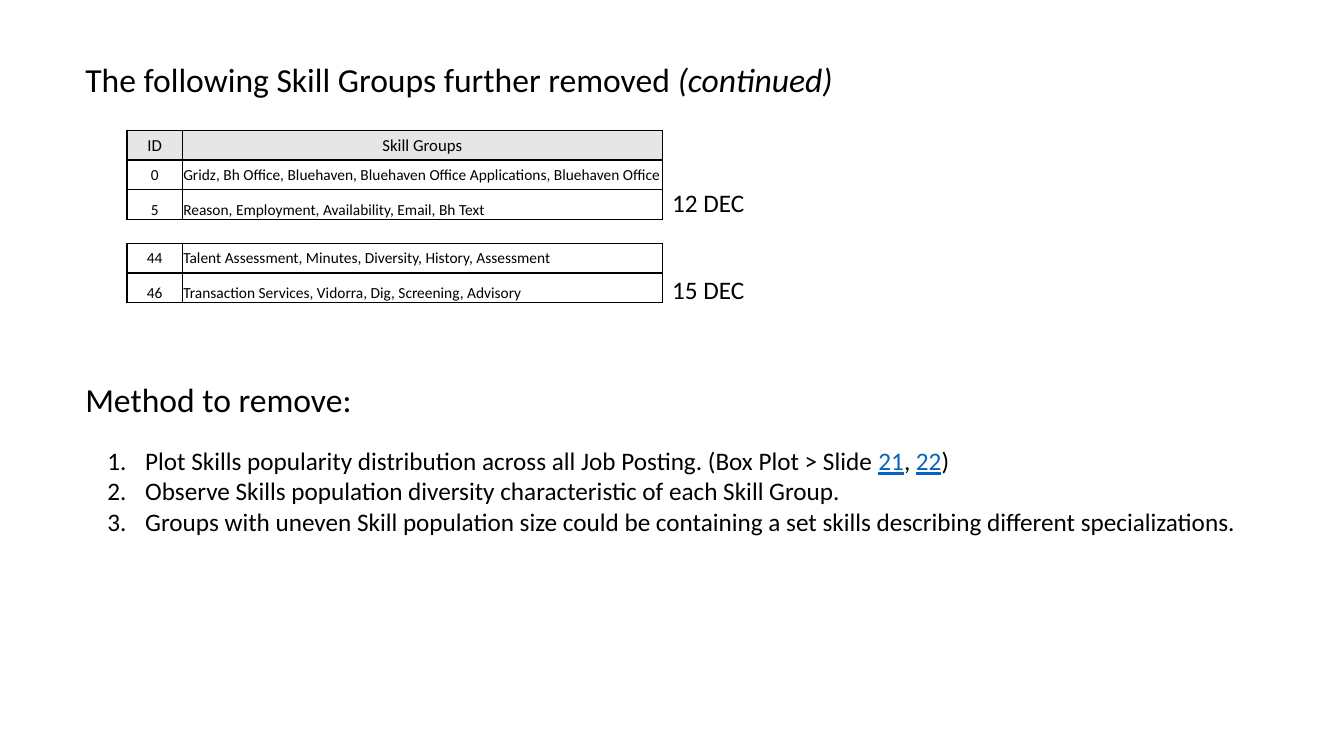
from dataclasses import dataclass

from lxml import etree
from pptx import Presentation
from pptx import util as u
from pptx.dml import color
from pptx.enum import text
from pptx.oxml import ns


@dataclass(frozen=True)
class Theme:
    font: str = "Calibri"
    ink: str = "000000"
    link: str = "0563C1"
    header_fill: str = "E7E6E6"
    heading: int = 24
    body: int = 18
    table_header: int = 12
    table_body: int = 11


THEME = Theme()
ROW_HEIGHT = 0.75
COLUMN_WIDTHS = (1.4, 12.09)
TABLE_LEFT = 3.2


def write(p, words, size=THEME.body, ink=THEME.ink, italic=False, underline=False):
    r = p.add_run()
    r.text = words
    r.font.name = THEME.font
    r.font.size = u.Pt(size)
    r.font.color.rgb = color.RGBColor.from_string(ink)
    r.font.italic = italic
    r.font.underline = underline


def add_text_box(s, left, top, width, height, wrap=True):
    sp = s.shapes.add_textbox(u.Cm(left), u.Cm(top), u.Cm(width), u.Cm(height))
    sp.text_frame.word_wrap = wrap
    return sp.text_frame


def add_heading(s, top, words, suffix=""):
    p = add_text_box(s, 1.9, top, 26.92, 1.28).paragraphs[0]
    write(p, words, size=THEME.heading)
    if suffix:
        write(p, suffix, size=THEME.heading, italic=True)


def add_date(s, top, words):
    tf = add_text_box(s, 16.69, top, 2.36, 1.02, wrap=False)
    write(tf.paragraphs[0], words)


def add_numbered_list(s, items):
    tf = add_text_box(s, 2.46, 11.1, 31.4, 2.57)
    for i, runs in enumerate(items):
        p = tf.add_paragraph() if i else tf.paragraphs[0]
        pPr = p._p.get_or_add_pPr()
        indent = u.Cm(0.95)
        pPr.set("marL", str(indent))
        pPr.set("indent", str(-indent))
        etree.SubElement(pPr, ns.qn("a:buFont"), typeface="+mj-lt")
        etree.SubElement(pPr, ns.qn("a:buAutoNum"), type="arabicPeriod")
        for words, style in runs:
            write(p, words, **style)


def add_borders(cell):
    tcPr = cell._tc.get_or_add_tcPr()
    for side in ("lnL", "lnR", "lnT", "lnB"):
        ln = etree.SubElement(tcPr, ns.qn(f"a:{side}"), w=str(u.Pt(1)))
        fill = etree.SubElement(ln, ns.qn("a:solidFill"))
        etree.SubElement(fill, ns.qn("a:srgbClr"), val=THEME.ink)


def fill_cell(cell, words, header, centred, anchor):
    cell.margin_left = cell.margin_right = cell.margin_top = u.Cm(0.02)
    cell.margin_bottom = 0
    cell.vertical_anchor = anchor
    add_borders(cell)
    if header:
        cell.fill.solid()
        cell.fill.fore_color.rgb = color.RGBColor.from_string(THEME.header_fill)
    else:
        cell.fill.background()
    p = cell.text_frame.paragraphs[0]
    p.alignment = text.PP_ALIGN.CENTER if centred else text.PP_ALIGN.LEFT
    write(p, words, size=THEME.table_header if header else THEME.table_body)


def add_skill_table(s, top, rows, has_header=False):
    frame = s.shapes.add_table(
        len(rows), len(COLUMN_WIDTHS), u.Cm(TABLE_LEFT), u.Cm(top),
        u.Cm(sum(COLUMN_WIDTHS)), u.Cm(ROW_HEIGHT * len(rows)))
    table = frame.table
    table.first_row = has_header
    table.horz_banding = False
    for column, width in zip(table.columns, COLUMN_WIDTHS):
        column.width = u.Cm(width)
    for i, row in enumerate(rows):
        table.rows[i].height = u.Cm(ROW_HEIGHT)
        header = has_header and i == 0
        last = i == len(rows) - 1
        anchor = text.MSO_ANCHOR.BOTTOM if last else text.MSO_ANCHOR.MIDDLE
        for j, words in enumerate(row):
            fill_cell(table.cell(i, j), words, header, header or j == 0, anchor)


def main():
    prs = Presentation()
    prs.slide_width, prs.slide_height = u.Cm(33.87), u.Cm(19.05)
    s = prs.slides.add_slide(prs.slide_layouts[6])

    add_heading(s, 1.35, "The following Skill Groups further removed ", "(continued)")
    add_skill_table(s, 3.28, [
        ("ID", "Skill Groups"),
        ("0", "Gridz, Bh Office, Bluehaven, Bluehaven Office Applications, Bluehaven Office"),
        ("5", "Reason, Employment, Availability, Email, Bh Text"),
    ], has_header=True)
    add_skill_table(s, 6.13, [
        ("44", "Talent Assessment, Minutes, Diversity, History, Assessment"),
        ("46", "Transaction Services, Vidorra, Dig, Screening, Advisory"),
    ])

    add_heading(s, 9.42, "Method to remove:")
    link = {"ink": THEME.link, "underline": True}
    add_numbered_list(s, [
        [("Plot Skills popularity distribution across all Job Posting. (Box Plot > Slide ", {}),
         ("21", link), (", ", {}), ("22", link), (")", {})],
        [("Observe Skills population diversity characteristic of each Skill Group.", {})],
        [("Groups with uneven Skill population size could be containing a set skills "
          "describing different specializations.", {})],
    ])

    add_date(s, 6.79, "15 DEC")
    add_date(s, 4.59, "12 DEC")
    prs.save("out.pptx")


if __name__ == "__main__":
    main()
